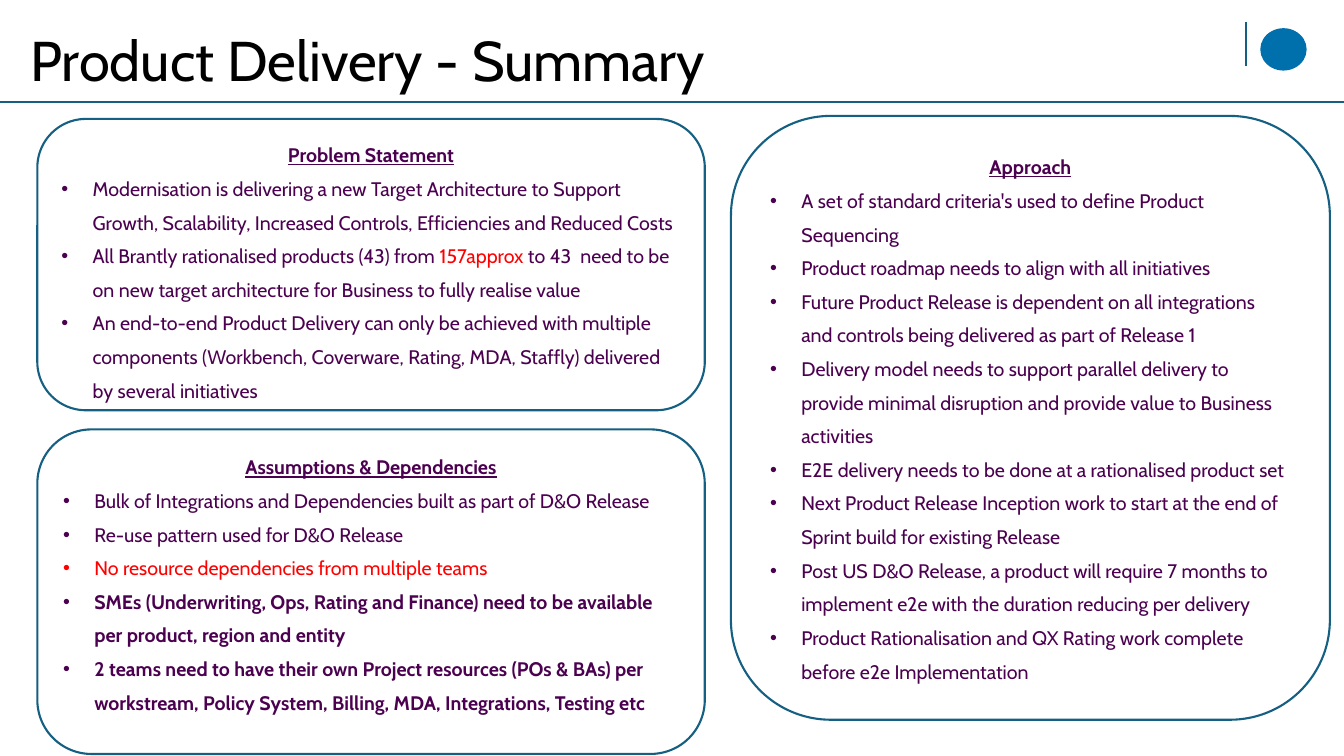
from lxml import etree
from pptx import Presentation
from pptx import util as u
from pptx.dml.color import RGBColor
from pptx.enum import shapes, text
from pptx.oxml.ns import qn

# The grid has one-inch cells.
COLUMNS, ROWS = 13.33, 7.5
TEAL, PURPLE, RED, BLUE = "156082", "4B0050", "FF0000", "0070AD"
GUTTER, LEFT_EDGE, LEFT_WIDTH = 0.26, 0.37, 6.62
INDENT = u.Inches(0.31)
BODY = {"name": "Cabin", "size": u.Pt(14), "bold": False, "underline": False, "color": PURPLE}
HEADING = BODY | {"bold": True, "underline": True}
STRONG = BODY | {"bold": True}
ALERT = BODY | {"color": RED}
TITLE = BODY | {"size": u.Pt(40), "color": "000000"}

# Each bullet is a list of (words, format) runs.
PROBLEM = [
    [("Modernisation is delivering a new Target Architecture to Support Growth, Scalability, "
      "Increased Controls, Efficiencies and Reduced Costs", BODY)],
    [("All Brantly rationalised products (43) from ", BODY), ("157approx", ALERT),
     (" to 43  need to be on new target architecture for Business to fully realise value", BODY)],
    [("An end-to-end Product Delivery can only be achieved with multiple components (Workbench, "
      "Coverware, Rating, MDA, Staffly) delivered by several initiatives", BODY)],
]
ASSUMPTIONS = [
    [("Bulk of Integrations and Dependencies built as part of D&O Release", BODY)],
    [("Re-use pattern used for D&O Release", BODY)],
    [("No resource dependencies from multiple teams", ALERT)],
    [("SMEs (Underwriting, Ops, Rating and Finance) need to be available per product, "
      "region and entity", STRONG)],
    [("2 teams need to have their own Project resources (POs & BAs) per workstream, "
      "Policy System, Billing, MDA, Integrations, Testing etc", STRONG)],
]
APPROACH = [[(words, BODY)] for words in (
    "A set of standard criteria's used to define Product Sequencing",
    "Product roadmap needs to align with all initiatives",
    "Future Product Release is dependent on all integrations and controls being delivered "
    "as part of Release 1",
    "Delivery model needs to support parallel delivery to provide minimal disruption and "
    "provide value to Business activities",
    "E2E delivery needs to be done at a rationalised product set",
    "Next Product Release Inception work to start at the end of Sprint build for existing Release",
    "Post US D&O Release, a product will require 7 months to implement e2e with the duration "
    "reducing per delivery",
    "Product Rationalisation and QX Rating work complete before e2e Implementation",
)]


def color(hex_string):
    return RGBColor.from_string(hex_string)


def cells(*lengths):
    return [u.Inches(length) for length in lengths]


def set_all(target, **values):
    for name, value in values.items():
        setattr(target, name, value)


def add_run(paragraph, words, style):
    run = paragraph.add_run()
    run.text = words
    for name, value in style.items():
        if name == "color":
            run.font.color.rgb = color(value)
        else:
            setattr(run.font, name, value)


def add_bullet(paragraph):
    properties = paragraph._p.get_or_add_pPr()
    properties.set("marL", str(INDENT))
    properties.set("indent", str(-INDENT))
    etree.SubElement(properties, qn("a:buFont")).set("typeface", "Arial")
    etree.SubElement(properties, qn("a:buChar")).set("char", "•")


def add_rule(slide, start, end, weight):
    connector = slide.shapes.add_connector(
        shapes.MSO_CONNECTOR.STRAIGHT, *cells(*start, *end))
    connector.line.color.rgb = color(TEAL)
    connector.line.width = u.Pt(weight)
    etree.SubElement(connector._element.spPr, qn("a:effectLst"))


def add_header(slide, left, top, width, height):
    """Place the title, the rule under it and the emblem at the right."""
    title = slide.shapes.title
    set_all(title, **dict(zip(("left", "top", "width", "height"),
                              cells(left + 0.2, top + 0.33, 10, 0.65))))
    set_all(title.text_frame, vertical_anchor=text.MSO_ANCHOR.BOTTOM,
            auto_size=text.MSO_AUTO_SIZE.NONE, word_wrap=True)
    paragraph = title.text_frame.paragraphs[0]
    set_all(paragraph, alignment=text.PP_ALIGN.LEFT, line_spacing=0.9)
    add_run(paragraph, "Product Delivery - Summary", TITLE)

    right, bottom = left + width, top + height
    add_rule(slide, (left, bottom), (right, bottom), 1.5)
    add_rule(slide, (right - 0.97, top + 0.22), (right - 0.97, top + 0.65), 1)
    emblem = slide.shapes.add_shape(
        shapes.MSO_SHAPE.OVAL, *cells(right - 0.83, top + 0.28, 0.46, 0.42))
    emblem.shadow.inherit = False
    emblem.fill.solid()
    emblem.fill.fore_color.rgb = color(BLUE)
    emblem.line.fill.background()


def add_panel(slide, box, heading, bullets):
    panel = slide.shapes.add_shape(shapes.MSO_SHAPE.ROUNDED_RECTANGLE, *cells(*box))
    panel.shadow.inherit = False
    panel.fill.solid()
    panel.fill.fore_color.rgb = color("FFFFFF")
    panel.line.color.rgb = color(TEAL)
    panel.line.width = u.Pt(1.5)
    frame = panel.text_frame
    set_all(frame, word_wrap=True, vertical_anchor=text.MSO_ANCHOR.TOP,
            margin_left=u.Inches(0.1), margin_right=u.Inches(0.1),
            margin_top=0, margin_bottom=u.Inches(0.05))
    for index, runs in enumerate([[(heading, HEADING)], *bullets]):
        paragraph = frame.add_paragraph() if index else frame.paragraphs[0]
        if index:
            add_bullet(paragraph)
        set_all(paragraph, line_spacing=u.Pt(24),
                alignment=text.PP_ALIGN.LEFT if index else text.PP_ALIGN.CENTER)
        for words, style in runs:
            add_run(paragraph, words, style)


def add_summary(slide):
    add_header(slide, 0, 0, COLUMNS, 1.01)
    right_edge = LEFT_EDGE + LEFT_WIDTH + GUTTER
    add_panel(slide, (LEFT_EDGE, 1.18, LEFT_WIDTH, 2.89), "Problem Statement", PROBLEM)
    add_panel(slide, (LEFT_EDGE, 4.26, LEFT_WIDTH, 3.22),
              "Assumptions & Dependencies", ASSUMPTIONS)
    add_panel(slide, (right_edge, 1.15, 5.94, 5.99), "Approach", APPROACH)


def main():
    presentation = Presentation()
    presentation.slide_width, presentation.slide_height = cells(COLUMNS, ROWS)
    add_summary(presentation.slides.add_slide(presentation.slide_layouts[5]))
    presentation.save("out.pptx")


if __name__ == "__main__":
    main()
